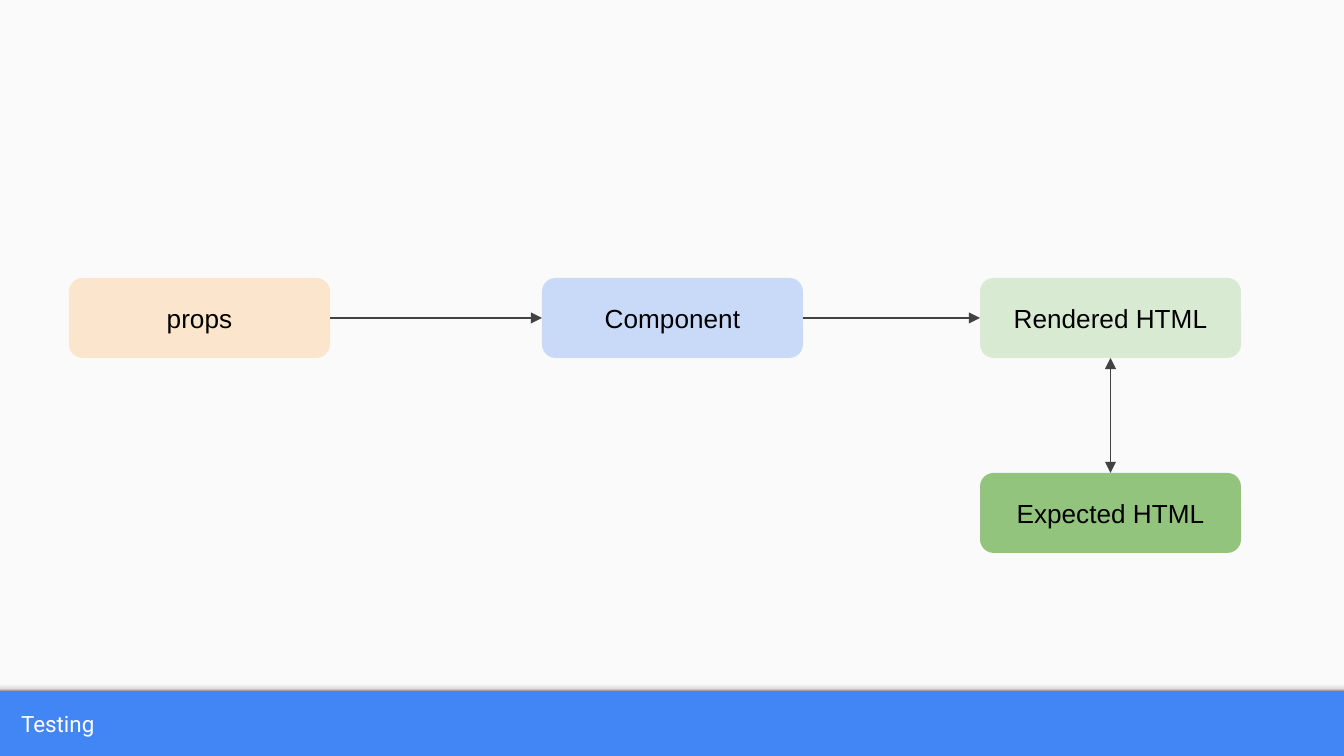
"""Build a slide showing how a component's rendered HTML is tested."""
from dataclasses import dataclass

from lxml.etree import SubElement
from pptx import Presentation
from pptx.dml.color import RGBColor
from pptx.enum.shapes import MSO_CONNECTOR as CONN, MSO_SHAPE as SHAPE
from pptx.enum.text import MSO_ANCHOR as ANCHOR, PP_ALIGN as ALIGN
from pptx.oxml.ns import qn
from pptx.shapes.autoshape import Shape
from pptx.slide import Slide
from pptx.util import Emu, Pt

BLUE = RGBColor(0x42, 0x85, 0xF4)
PAPER = RGBColor(0xFA, 0xFA, 0xFA)
PEACH = RGBColor(0xFC, 0xE5, 0xCD)
PALE_BLUE = RGBColor(0xC9, 0xDA, 0xF8)
PALE_GREEN = RGBColor(0xD9, 0xEA, 0xD3)
GREEN = RGBColor(0x93, 0xC4, 0x7D)
GRAY = RGBColor(0x42, 0x42, 0x42)
BLACK = RGBColor(0, 0, 0)
WHITE = RGBColor(0xFF, 0xFF, 0xFF)

WIDTH, HEIGHT = 1344, 756
PANEL_H, EDGE_H = 691, 11
BOX_W, BOX_H = 261, 80
INSET = 13
EDGE_STOPS = ((0, "F9F9F9"), (36, "F9F9F9"), (80, "DEDEDE"), (100, "999999"))
TOP, LEFT, BOTTOM, RIGHT = range(4)


@dataclass(frozen=True)
class Box:
    text: str
    x: int
    y: int
    color: RGBColor


@dataclass(frozen=True)
class Arrow:
    start: str
    start_site: int
    end: str
    end_site: int
    ends: tuple[str, ...] = ("a:tailEnd",)


BOXES = (
    Box("props", 69, 278, PEACH),
    Box("Component", 542, 278, PALE_BLUE),
    Box("Rendered HTML", 980, 278, PALE_GREEN),
    Box("Expected HTML", 980, 473, GREEN),
)
ARROWS = (
    Arrow("props", RIGHT, "Component", LEFT),
    Arrow("Component", RIGHT, "Rendered HTML", LEFT),
    Arrow("Rendered HTML", BOTTOM, "Expected HTML", TOP, ("a:headEnd", "a:tailEnd")),
)


def px(n: int) -> Emu:
    """Turn pixels into EMU."""
    return Emu(round(n * 914400 / 134.4))


def add_block(s: Slide, kind: SHAPE, x: int, y: int, w: int, h: int, color: RGBColor) -> Shape:
    """Add a filled shape without line or shadow."""
    sp = s.shapes.add_shape(kind, px(x), px(y), px(w), px(h))
    sp.shadow.inherit = False
    sp.fill.solid()
    sp.fill.fore_color.rgb = color
    sp.line.fill.background()
    return sp


def write(sp: Shape, text: str, font: str, size: int, color: RGBColor, align: ALIGN) -> None:
    """Write one vertically centred paragraph into a shape."""
    tf = sp.text_frame
    tf.word_wrap = True
    tf.vertical_anchor = ANCHOR.MIDDLE
    tf.margin_left = tf.margin_right = tf.margin_top = tf.margin_bottom = px(INSET)
    p = tf.paragraphs[0]
    p.text = text
    p.alignment = align
    p.font.name = font
    p.font.size = Pt(size)
    p.font.color.rgb = color


def add_edge(s: Slide) -> None:
    """Shade the lower edge of the panel."""
    sp = add_block(s, SHAPE.RECTANGLE, 0, PANEL_H - EDGE_H, WIDTH, EDGE_H, PAPER)
    sp.fill.gradient()
    sp.fill.gradient_angle = 270
    stops = sp._element.spPr.find(qn("a:gradFill")).find(qn("a:gsLst"))
    for stop in list(stops):
        stops.remove(stop)
    for percent, color in EDGE_STOPS:
        stop = SubElement(stops, qn("a:gs"), pos=str(percent * 1000))
        SubElement(stop, qn("a:srgbClr"), val=color)


def add_box(s: Slide, box: Box) -> Shape:
    """Add a labelled rounded box."""
    sp = add_block(s, SHAPE.ROUNDED_RECTANGLE, box.x, box.y, BOX_W, BOX_H, box.color)
    sp.adjustments[0] = 0.17
    write(sp, box.text, "Arial", 14, BLACK, ALIGN.CENTER)
    return sp


def add_arrow(s: Slide, arrow: Arrow, shapes: dict[str, Shape]) -> None:
    """Connect two boxes with an arrow."""
    cxn = s.shapes.add_connector(CONN.STRAIGHT, 0, 0, 0, 0)
    cxn.begin_connect(shapes[arrow.start], arrow.start_site)
    cxn.end_connect(shapes[arrow.end], arrow.end_site)
    cxn.line.color.rgb = GRAY
    cxn.line.width = Pt(0.75)
    sp_pr = cxn._element.spPr
    for end in arrow.ends:
        SubElement(sp_pr.find(qn("a:ln")), qn(end), type="triangle")
    SubElement(sp_pr, qn("a:effectLst"))


def main() -> None:
    """Build and save the slide."""
    prs = Presentation()
    prs.slide_width, prs.slide_height = px(WIDTH), px(HEIGHT)
    s = prs.slides.add_slide(prs.slide_layouts[6])
    s.background.fill.solid()
    s.background.fill.fore_color.rgb = BLUE

    add_block(s, SHAPE.RECTANGLE, 0, 0, WIDTH, PANEL_H, PAPER)
    add_edge(s)
    footer = s.shapes.add_textbox(px(8), px(PANEL_H), px(1232), px(HEIGHT - PANEL_H))
    write(footer, "Testing", "Roboto", 12, WHITE, ALIGN.LEFT)

    shapes = {box.text: add_box(s, box) for box in BOXES}
    for arrow in ARROWS:
        add_arrow(s, arrow, shapes)
    prs.save("out.pptx")


if __name__ == "__main__":
    main()
